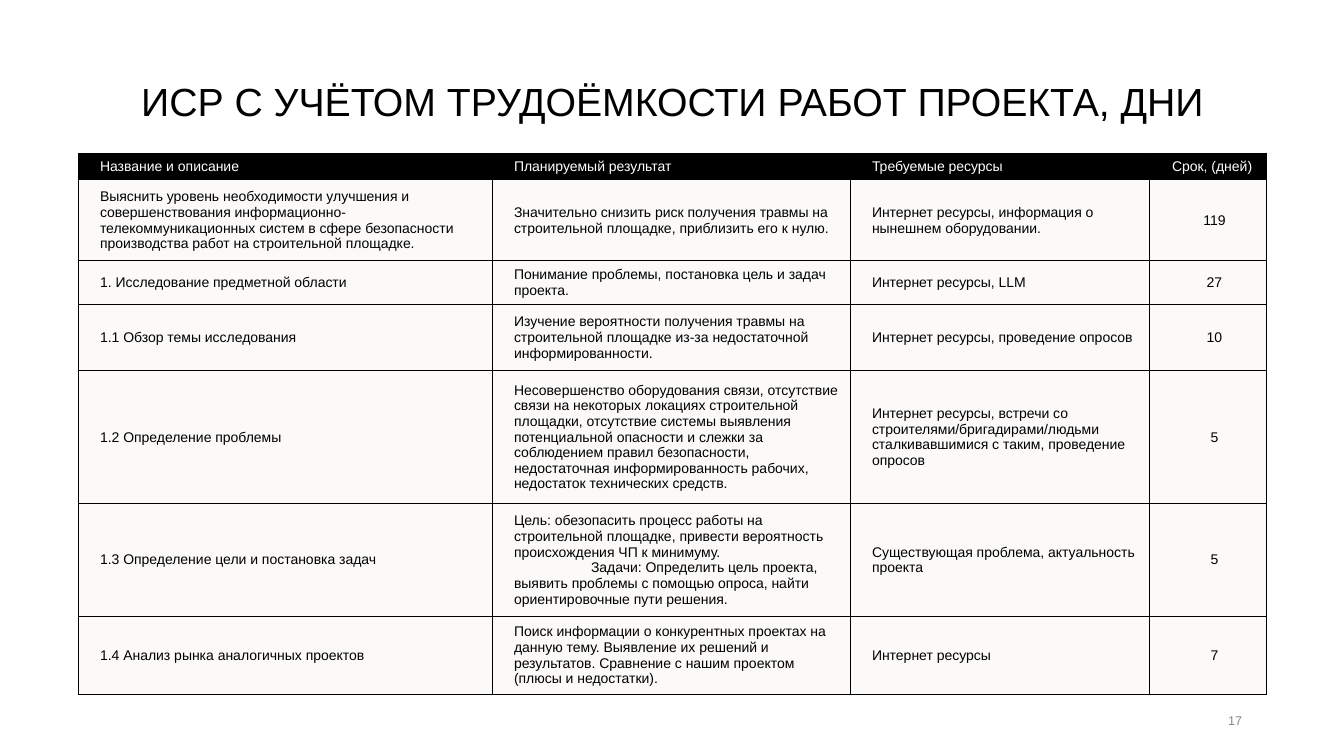
from lxml import etree
from pptx import Presentation
from pptx import util as u
from pptx.dml.color import RGBColor
from pptx.enum import text as t
from pptx.oxml.ns import qn

# Content: each cell is a list of paragraphs separated by "\n"
TITLE = "ИСР С УЧЁТОМ ТРУДОЁМКОСТИ РАБОТ ПРОЕКТА, ДНИ"
PAGE = "17"
ROWS = [
    ("Название и описание", "Планируемый результат", "Требуемые ресурсы", "Срок, (дней)"),
    ("Выяснить уровень необходимости улучшения и совершенствования "
     "информационно-телекоммуникационных систем в сфере безопасности "
     "производства работ на строительной площадке.",
     "Значительно снизить риск получения травмы на строительной площадке, "
     "приблизить его к нулю.",
     "Интернет ресурсы, информация о нынешнем оборудовании.", "119"),
    ("1. Исследование предметной области",
     "Понимание проблемы, постановка цель и задач проекта.",
     "Интернет ресурсы, LLM", "27"),
    ("1.1 Обзор темы исследования",
     "Изучение вероятности получения травмы на строительной площадке из-за "
     "недостаточной информированности.",
     "Интернет ресурсы, проведение опросов", "10"),
    ("1.2 Определение проблемы",
     "Несовершенство оборудования связи, отсутствие связи на некоторых "
     "локациях строительной площадки, отсутствие системы выявления "
     "потенциальной опасности и слежки за соблюдением правил безопасности, "
     "недостаточная информированность рабочих, недостаток технических средств.",
     "Интернет ресурсы, встречи со строителями/бригадирами/людьми "
     "сталкивавшимися с таким, проведение опросов", "5"),
    ("1.3 Определение цели и постановка задач",
     "Цель: обезопасить процесс работы на строительной площадке, привести "
     "вероятность происхождения ЧП к минимуму.\n"
     "Задачи: Определить цель проекта, выявить проблемы с помощью опроса, "
     "найти ориентировочные пути решения.",
     "Существующая проблема, актуальность проекта", "5"),
    ("1.4 Анализ рынка аналогичных проектов",
     "Поиск информации о конкурентных проектах на данную тему. Выявление их "
     "решений и результатов. Сравнение с нашим проектом (плюсы и недостатки).",
     "Интернет ресурсы", "7"),
]

# Layout in px
WIDTHS = (414, 358, 300, 117)
HEIGHTS = (26, 81, 41, 66, 133, 113, 73)
LEFT, TOP = 78, 153
PAD, TASK = 12, 77
BLACK, WHITE, PALE, GREY = "000000", "FFFFFF", "FBFAF9", "888888"


def px(n):
    return u.Emu(round(n * 914400 / 100.8))


def rgb(code):
    return RGBColor.from_string(code)


def write(para, line, size, color, align):
    para.alignment = align
    run = para.add_run()
    run.text = line
    run.font.size = u.Pt(size)
    run.font.name = "Arial"
    run.font.color.rgb = rgb(color)


def label(box, line, size, color, align):
    frame = slide.shapes.add_textbox(*map(px, box)).text_frame
    frame.word_wrap = True
    frame.vertical_anchor = t.MSO_ANCHOR.MIDDLE
    write(frame.paragraphs[0], line, size, color, align)
    return frame


def border(cell):
    props = cell._tc.get_or_add_tcPr()
    for side in "LRTB":
        line = etree.SubElement(props, qn("a:ln" + side), w=str(u.Pt(0.75)))
        fill = etree.SubElement(line, qn("a:solidFill"))
        etree.SubElement(fill, qn("a:srgbClr"), val=BLACK)


def fill_cell(cell, words, head, align):
    border(cell)
    cell.fill.solid()
    cell.fill.fore_color.rgb = rgb(BLACK if head else PALE)
    cell.vertical_anchor = t.MSO_ANCHOR.MIDDLE
    frame = cell.text_frame
    for i, line in enumerate(words.split("\n")):
        para = frame.add_paragraph() if i else frame.paragraphs[0]
        write(para, line, 10, WHITE if head else BLACK, align)
        # Later paragraphs start with a first-line indent
        props = para._p.get_or_add_pPr()
        props.set("marL", str(px(PAD)))
        props.set("indent", str(px(TASK) if i else 0))


deck = Presentation()
deck.slide_width, deck.slide_height = px(1344), px(756)
slide = deck.slides.add_slide(deck.slide_layouts[6])

# Title
title = label((78, 31, 1189, 146), TITLE, 28, BLACK, t.PP_ALIGN.CENTER)
title.paragraphs[0].line_spacing = 0.9

# Table of works
table = slide.shapes.add_table(
    len(ROWS), len(WIDTHS), px(LEFT), px(TOP),
    px(sum(WIDTHS)), px(sum(HEIGHTS))).table
table.first_row = table.horz_banding = False
for col, wide in zip(table.columns, WIDTHS):
    col.width = px(wide)
for r, (row, high) in enumerate(zip(ROWS, HEIGHTS)):
    table.rows[r].height = px(high)
    for c, words in enumerate(row):
        days = r > 0 and c == len(WIDTHS) - 1
        align = t.PP_ALIGN.CENTER if days else t.PP_ALIGN.LEFT
        fill_cell(table.cell(r, c), words, r == 0, align)

# Page number
label((950, 701, 302, 40), PAGE, 9, GREY, t.PP_ALIGN.RIGHT)

deck.save("out.pptx")
